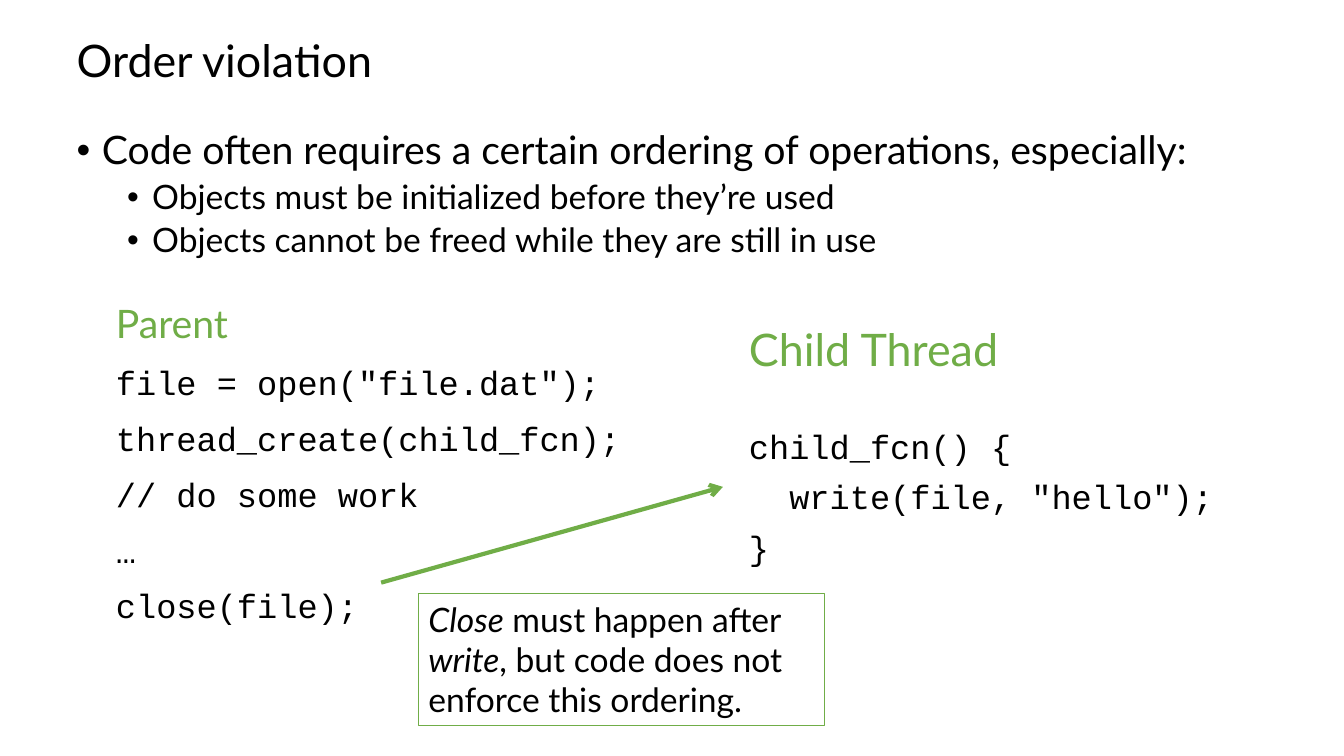
from pptx import Presentation
from pptx.dml.color import RGBColor
from pptx.enum import shapes, text
from pptx.oxml.ns import qn
from pptx.util import Pt
from lxml import etree

PX = 9144  # 100 px to the inch
GREEN, BLACK, WHITE = "70AD47", "000000", "FFFFFF"
SANS, MONO = "Lato", "Courier New"


def place(shape, *box):
    shape.left, shape.top, shape.width, shape.height = [n * PX for n in box]
    frame = shape.text_frame
    frame.word_wrap = True
    frame.auto_size = text.MSO_AUTO_SIZE.NONE
    return frame


def style(par, size, face=SANS, color=BLACK, gap=0, left=0, bullet=False):
    """Format one paragraph; a bullet hangs 25 px before the left indent."""
    props = par._p.get_or_add_pPr()
    props.set("marL", str(left * PX))
    props.set("indent", str(-25 * PX if bullet else 0))
    if bullet:
        etree.SubElement(props, qn("a:buFont"), typeface="Arial")
        etree.SubElement(props, qn("a:buChar"), char="•")
    else:
        etree.SubElement(props, qn("a:buNone"))
    par.alignment = text.PP_ALIGN.LEFT
    par.line_spacing = 0.9
    par.space_before = Pt(gap)
    par.space_after = Pt(0)
    for run in par.runs:
        run.font.size, run.font.name = Pt(size), face
        run.font.color.rgb = RGBColor.from_string(color)


deck = Presentation()
deck.slide_width, deck.slide_height = 1333 * PX, 750 * PX
slide = deck.slides.add_slide(deck.slide_layouts[3])
title, points, parent = slide.placeholders

# Title and list
frame = place(title, 66, 25, 1200, 75)
frame.text = "Order violation"
frame.vertical_anchor = text.MSO_ANCHOR.MIDDLE
style(frame.paragraphs[0], 32)

frame = place(points, 66, 125, 1200, 550)
frame.text = """Code often requires a certain ordering of operations, especially:
Objects must be initialized before they’re used
Objects cannot be freed while they are still in use"""
head, *subs = frame.paragraphs
style(head, 28, left=25, bullet=True)
for par in subs:
    par.level = 1
    style(par, 24, gap=5, left=75, bullet=True)

# Code of the two threads
child = slide.shapes.add_textbox(0, 0, 0, 0)
threads = [
    (parent, (105, 297, 584, 405), 28, 14, 14, """Parent
file = open("file.dat");
thread_create(child_fcn);
// do some work
…
close(file);"""),
    (child, (733, 320, 488, 290), 32, 39, 10, """Child Thread
child_fcn() {
  write(file, "hello");
}"""),
]
for shape, box, size, first, gap, code in threads:
    frame = place(shape, *box)
    frame.text = code
    head, *lines = frame.paragraphs
    style(head, size, color=GREEN)
    for par in lines:
        style(par, 24, MONO, gap=first if par is lines[0] else gap)

# Arrow from close to write
ends = [n * PX for n in (378, 578, 717, 483)]
arrow = slide.shapes.add_connector(shapes.MSO_CONNECTOR.STRAIGHT, *ends)
arrow.line.color.rgb = RGBColor.from_string(GREEN)
arrow.line.width = Pt(3)
etree.SubElement(arrow.line._get_or_add_ln(), qn("a:tailEnd"), type="arrow")
etree.SubElement(arrow._element.spPr, qn("a:effectLst"))

# Note
note = slide.shapes.add_shape(shapes.MSO_SHAPE.RECTANGLE, 0, 0, 0, 0)
note.shadow.inherit = False
note.fill.solid()
note.fill.fore_color.rgb = RGBColor.from_string(WHITE)
note.line.color.rgb = RGBColor.from_string(GREEN)
note.line.width = Pt(0.75)
frame = place(note, 415, 589, 403, 131)
frame.vertical_anchor = text.MSO_ANCHOR.TOP
par = frame.paragraphs[0]
for words in ("Close", " must happen after ", "write",
              ", but code does not enforce this ordering."):
    run = par.add_run()
    run.text = words
    run.font.italic = words in ("Close", "write")
style(par, 24)
par.line_spacing = 1.0

deck.save("out.pptx")
